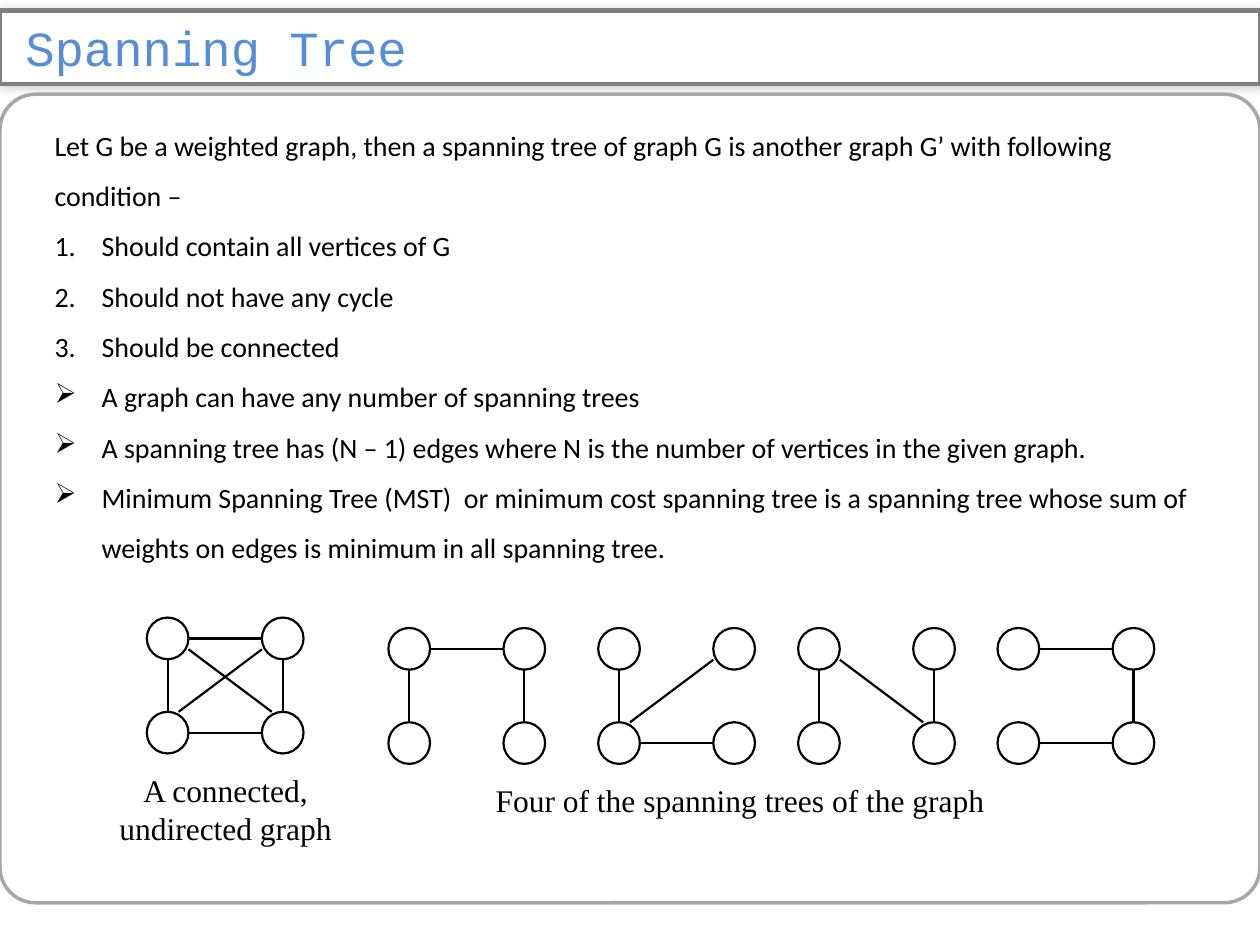
from lxml import etree
from pptx import Presentation
from pptx import util as u
from pptx.dml import color
from pptx.enum import shapes, text
from pptx.oxml import ns

COLORS = {
    "white": "FFFFFF",
    "black": "000000",
    "title": "558ED5",
    "title_line": "808080",
    "panel_line": "A6A6A6",
}
TITLE_FONT = {"name": "Courier New", "size": u.Pt(28)}
BODY_FONT = {"name": "Calibri", "size": u.Pt(16)}
CAPTION_FONT = {"name": "Times New Roman", "size": u.Pt(18)}

INTRODUCTION = ("Let G be a weighted graph, then a spanning tree of graph G is "
                "another graph G’ with following condition –")
CONDITIONS = [
    "Should contain all vertices of G",
    "Should not have any cycle",
    "Should be connected",
]
FACTS = [
    "A graph can have any number of spanning trees",
    "A spanning tree has (N – 1) edges where N is the number of vertices in the given graph.",
    "Minimum Spanning Tree (MST)  or minimum cost spanning tree is a spanning tree "
    "whose sum of weights on edges is minimum in all spanning tree.",
]

NODE = 0.84
COLUMN_STEP, ROW_STEP = 2.32, 1.9
MIDDLE, DIAGONAL = NODE / 2, 0.64
EDGES = {
    "left": (MIDDLE, NODE, MIDDLE, ROW_STEP),
    "right": (COLUMN_STEP + MIDDLE, NODE, COLUMN_STEP + MIDDLE, ROW_STEP),
    "top": (NODE, MIDDLE, COLUMN_STEP, MIDDLE),
    "bottom": (NODE, ROW_STEP + MIDDLE, COLUMN_STEP, ROW_STEP + MIDDLE),
    "rising": (DIAGONAL, ROW_STEP, COLUMN_STEP, DIAGONAL),
    "falling": (NODE, DIAGONAL, COLUMN_STEP + 0.2, ROW_STEP),
}
GRAPHS = [
    (2.96, 12.45, list(EDGES)),
    (7.83, 12.66, ["left", "right", "top"]),
    (12.06, 12.66, ["left", "bottom", "rising"]),
    (16.09, 12.66, ["left", "right", "falling"]),
    (20.11, 12.66, ["right", "top", "bottom"]),
]


def apply(target, values):
    for name, value in values.items():
        setattr(target, name, value)


def add_xml(parent, tag, **attributes):
    return etree.SubElement(parent, ns.qn(tag), attributes)


class SlideBuilder:
    def __init__(self, slide):
        self.slide = slide

    def rgb(self, name):
        return color.RGBColor.from_string(COLORS[name])

    def outline(self, shape, name, width):
        shape.line.color.rgb = self.rgb(name)
        shape.line.width = u.Pt(width)

    def fill_paragraph(self, paragraph, words, font, name="black"):
        paragraph.text = words
        for run in paragraph.runs:
            apply(run.font, font)
            run.font.color.rgb = self.rgb(name)

    def title(self, words, left, top, width, height):
        shape = self.slide.shapes.title
        apply(shape, {"left": u.Cm(left), "top": u.Cm(top),
                      "width": u.Cm(width), "height": u.Cm(height)})
        properties = shape._element.spPr
        geometry = add_xml(properties, "a:prstGeom", prst="roundRect")
        guides = add_xml(geometry, "a:avLst")
        add_xml(guides, "a:gd", name="adj", fmla="val 40900")
        shape.fill.solid()
        shape.fill.fore_color.rgb = self.rgb("white")
        self.outline(shape, "title_line", 2.5)
        effects = add_xml(properties, "a:effectLst")
        shadow = add_xml(effects, "a:outerShdw", blurRad=str(u.Pt(6)),
                         dist=str(u.Pt(1)), dir="2700000", rotWithShape="0")
        shade = add_xml(shadow, "a:srgbClr", val=COLORS["black"])
        add_xml(shade, "a:alpha", val="20000")
        frame = shape.text_frame
        apply(frame, {"margin_left": u.Cm(0.51), "margin_right": u.Cm(0.25),
                      "margin_top": 0, "margin_bottom": 0, "word_wrap": True,
                      "auto_size": text.MSO_AUTO_SIZE.NONE,
                      "vertical_anchor": text.MSO_ANCHOR.MIDDLE})
        frame.paragraphs[0].alignment = text.PP_ALIGN.LEFT
        self.fill_paragraph(frame.paragraphs[0], words, TITLE_FONT, "title")

    def panel(self, left, top, width, height):
        shape = self.slide.shapes.add_shape(
            shapes.MSO_SHAPE.ROUNDED_RECTANGLE,
            u.Cm(left), u.Cm(top), u.Cm(width), u.Cm(height))
        shape.adjustments[0] = 0.044
        shape.shadow.inherit = False
        shape.fill.background()
        self.outline(shape, "panel_line", 2)

    def text_frame(self, left, top, width, height):
        frame = self.slide.shapes.add_textbox(
            u.Cm(left), u.Cm(top), u.Cm(width), u.Cm(height)).text_frame
        apply(frame, {"word_wrap": True,
                      "auto_size": text.MSO_AUTO_SIZE.SHAPE_TO_FIT_TEXT})
        return frame

    def body(self, left, top, width, height):
        frame = self.text_frame(left, top, width, height)
        items = [(INTRODUCTION, None, {})]
        items += [(words, "a:buAutoNum", {"type": "arabicPeriod"}) for words in CONDITIONS]
        items += [(words, "a:buChar", {"char": "➢"}) for words in FACTS]
        for index, (words, tag, attributes) in enumerate(items):
            paragraph = frame.add_paragraph() if index else frame.paragraphs[0]
            if tag:
                properties = paragraph._p.get_or_add_pPr()
                properties.set("marL", str(u.Cm(0.95)))
                properties.set("indent", str(u.Cm(-0.95)))
                add_xml(properties, tag, **attributes)
            paragraph.line_spacing = 1.5
            self.fill_paragraph(paragraph, words, BODY_FONT)

    def caption(self, words, left, top, width, height):
        paragraph = self.text_frame(left, top, width, height).paragraphs[0]
        paragraph.alignment = text.PP_ALIGN.CENTER
        self.fill_paragraph(paragraph, words, CAPTION_FONT)

    def node(self, group, left, top):
        shape = group.shapes.add_shape(shapes.MSO_SHAPE.OVAL, u.Cm(left), u.Cm(top),
                                       u.Cm(NODE), u.Cm(NODE))
        shape.shadow.inherit = False
        shape.fill.background()
        self.outline(shape, "black", 1.25)

    def edge(self, group, *ends):
        connector = group.shapes.add_connector(
            shapes.MSO_CONNECTOR.STRAIGHT, *(u.Cm(end) for end in ends))
        self.outline(connector, "black", 1.25)
        add_xml(connector._element.spPr, "a:effectLst")

    def graph(self, left, top, edges):
        group = self.slide.shapes.add_group_shape()
        for column in range(2):
            for row in range(2):
                self.node(group, left + column * COLUMN_STEP, top + row * ROW_STEP)
        for name in edges:
            x1, y1, x2, y2 = EDGES[name]
            self.edge(group, left + x1, top + y1, left + x2, top + y2)


def main():
    presentation = Presentation()
    presentation.slide_width = u.Cm(25.4)
    presentation.slide_height = u.Cm(19.05)
    slide = presentation.slides.add_slide(presentation.slide_layouts[5])
    builder = SlideBuilder(slide)
    builder.panel(0, 1.9, 25.4, 16.3)
    builder.title("Spanning Tree", 0, 0.21, 25.4, 1.48)
    builder.body(0.85, 2.12, 23.7, 9.5)
    for left, top, edges in GRAPHS:
        builder.graph(left, top, edges)
    builder.caption("A connected,\nundirected graph", 1.69, 15.42, 5.72, 1.8)
    builder.caption("Four of the spanning trees of the graph", 7.83, 15.62, 14.18, 1.02)
    presentation.save("out.pptx")


if __name__ == "__main__":
    main()
